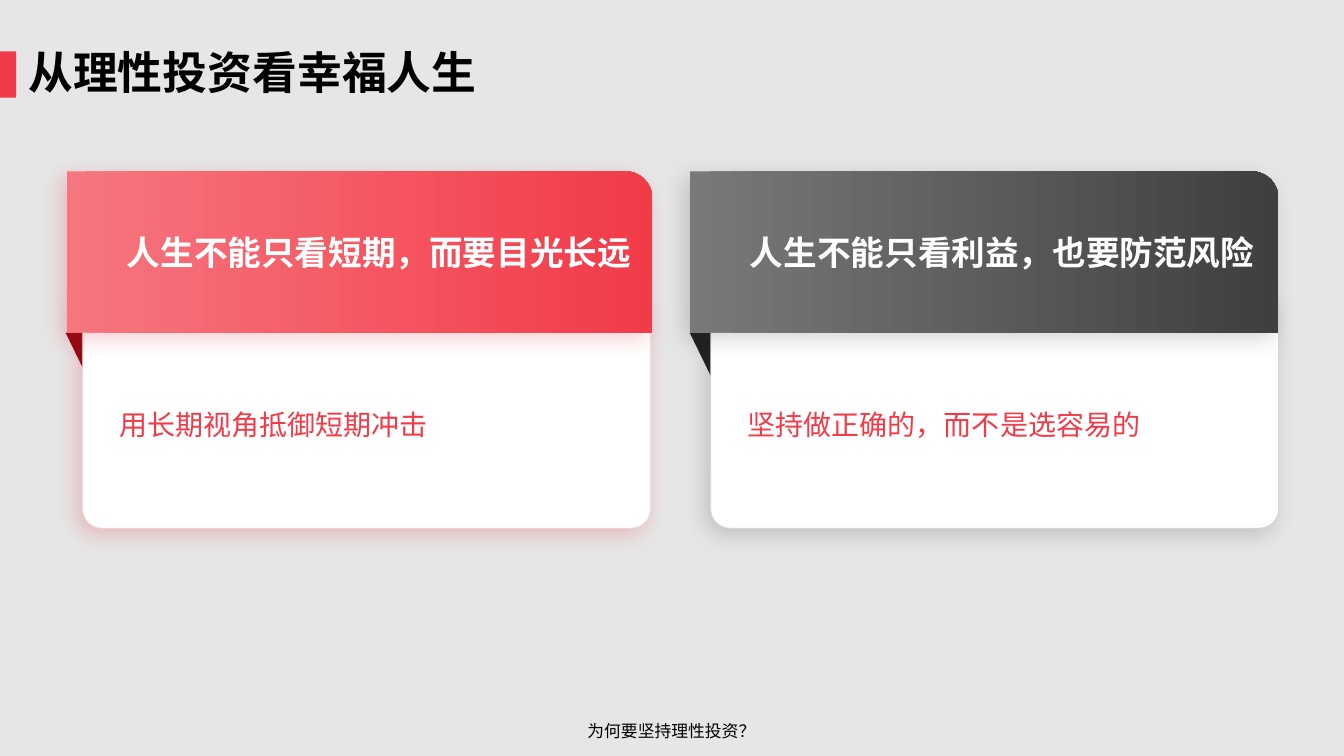
from lxml.etree import SubElement
from pptx import Presentation
from pptx.dml.color import RGBColor
from pptx.enum.shapes import MSO_SHAPE
from pptx.enum.text import MSO_ANCHOR, PP_ALIGN
from pptx.oxml.ns import qn
from pptx.util import Inches, Pt

RED = RGBColor(0xF2, 0x3B, 0x48)
PINK = RGBColor(0xF6, 0x76, 0x7F)
PALE_PINK = RGBColor(0xFC, 0xD8, 0xDA)
DARK_RED = RGBColor(0x8D, 0x09, 0x13)
SHADOW_RED = RGBColor(0xD4, 0x0E, 0x1C)
GREY = RGBColor(0x79, 0x79, 0x79)
DARK_GREY = RGBColor(0x3F, 0x3F, 0x3F)
LIGHT_GREY = RGBColor(0xD9, 0xD9, 0xD9)
CHARCOAL = RGBColor(0x20, 0x20, 0x20)
SHADOW_GREY = RGBColor(0x2F, 0x2F, 0x2F)
BACKGROUND = RGBColor(0xE7, 0xE6, 0xE6)
WHITE = RGBColor(0xFF, 0xFF, 0xFF)
BLACK = RGBColor(0, 0, 0)


class SlideBuilder:
    font = "Noto Sans CJK SC"
    footer_font = "Manrope"

    def __init__(self, prs):
        self.s = prs.slides.add_slide(prs.slide_layouts[5])
        self.s.background.fill.solid()
        self.s.background.fill.fore_color.rgb = BACKGROUND

    def add_text(self, sp, text, size, color, bold=False, font=None,
                 align=PP_ALIGN.LEFT, insets=(0.1, 0.05, 0.1, 0.05)):
        tf = sp.text_frame
        tf.word_wrap = True
        tf.vertical_anchor = MSO_ANCHOR.MIDDLE
        (tf.margin_left, tf.margin_top,
         tf.margin_right, tf.margin_bottom) = map(Inches, insets)
        p = tf.paragraphs[0]
        p.alignment = align
        r = p.add_run()
        r.text = text
        r.font.size = Pt(size)
        r.font.bold = bold
        r.font.color.rgb = color
        r.font.name = font or self.font
        # East Asian typeface
        SubElement(r._r.get_or_add_rPr(), qn("a:ea"), typeface=r.font.name)
        return p

    def shape(self, kind, box, fill, line=None, shadow=None):
        sp = self.s.shapes.add_shape(kind, *map(Inches, box))
        if isinstance(fill, tuple) and not isinstance(fill, RGBColor):
            sp.fill.gradient()
            sp.fill.gradient_angle = 0
            for stop, color in zip(sp.fill.gradient_stops, fill):
                stop.color.rgb = color
        else:
            sp.fill.solid()
            sp.fill.fore_color.rgb = fill
        if line is None:
            sp.line.fill.background()
        else:
            sp.line.color.rgb = line
            sp.line.width = Pt(0.5)
        sp.shadow.inherit = False
        if shadow is not None:
            self.cast_shadow(sp, shadow)
        return sp

    def cast_shadow(self, sp, color):
        effects = sp._element.spPr.find(qn("a:effectLst"))
        outer = SubElement(effects, qn("a:outerShdw"), blurRad=str(Pt(16)),
                           dist=str(Pt(6)), dir=str(135 * 60000),
                           algn="tr", rotWithShape="0")
        clr = SubElement(outer, qn("a:srgbClr"), val=str(color))
        SubElement(clr, qn("a:alpha"), val="20000")

    def title(self, text):
        bar = self.shape(MSO_SHAPE.ROUNDED_RECTANGLE, (0, 0.51, 0.16, 0.46), RED)
        bar.adjustments[0] = 0
        sp = self.s.shapes.title
        sp.left, sp.top, sp.width, sp.height = map(Inches, (0.28, 0.51, 12.54, 0.46))
        p = self.add_text(sp, text, 32, BLACK, bold=True, insets=(0, 0, 0, 0))
        p.line_spacing = 0.9

    def footer(self, text):
        sp = self.s.shapes.add_textbox(*map(Inches, (4.41, 7.1, 4.5, 0.4)))
        self.add_text(sp, text, 12, BLACK, font=self.footer_font, align=PP_ALIGN.CENTER)
        sp.text_frame.vertical_anchor = MSO_ANCHOR.TOP

    def card(self, fold_left, body_left, header_left, header_width,
             heading, detail, gradient, fold, outline, shadow):
        # Folded corner behind the card
        sp = self.shape(MSO_SHAPE.RIGHT_TRIANGLE, (fold_left, 3.3, 0.21, 0.43), fold)
        sp.rotation = 180
        # White body
        sp = self.shape(MSO_SHAPE.ROUNDED_RECTANGLE, (body_left, 2.88, 5.63, 2.36),
                        WHITE, outline, shadow)
        sp.adjustments[0] = 0.08
        p = self.add_text(sp, detail, 20, RED, insets=(0.31, 0.2, 0.31, 0))
        p.line_spacing = 1.3
        # Gradient header
        sp = self.shape(MSO_SHAPE.ROUND_1_RECTANGLE,
                        (header_left, 1.7, header_width, 1.6), gradient, shadow=shadow)
        p = self.add_text(sp, heading, 24, WHITE, bold=True)
        p._p.get_or_add_pPr().set("indent", str(Inches(0.5)))


def main():
    prs = Presentation()
    prs.slide_width, prs.slide_height = Inches(13.33), Inches(7.5)
    slide = SlideBuilder(prs)

    # Title and footer
    slide.title("从理性投资看幸福人生")
    slide.footer("为何要坚持理性投资？")

    # Two cards
    slide.card(0.65, 0.82, 0.66, 5.81,
               "人生不能只看短期，而要目光长远", "用长期视角抵御短期冲击",
               (PINK, RED), DARK_RED, PALE_PINK, SHADOW_RED)
    slide.card(6.84, 7.05, 6.84, 5.84,
               "人生不能只看利益，也要防范风险", "坚持做正确的，而不是选容易的",
               (GREY, DARK_GREY), CHARCOAL, LIGHT_GREY, SHADOW_GREY)

    prs.save("out.pptx")


if __name__ == "__main__":
    main()
